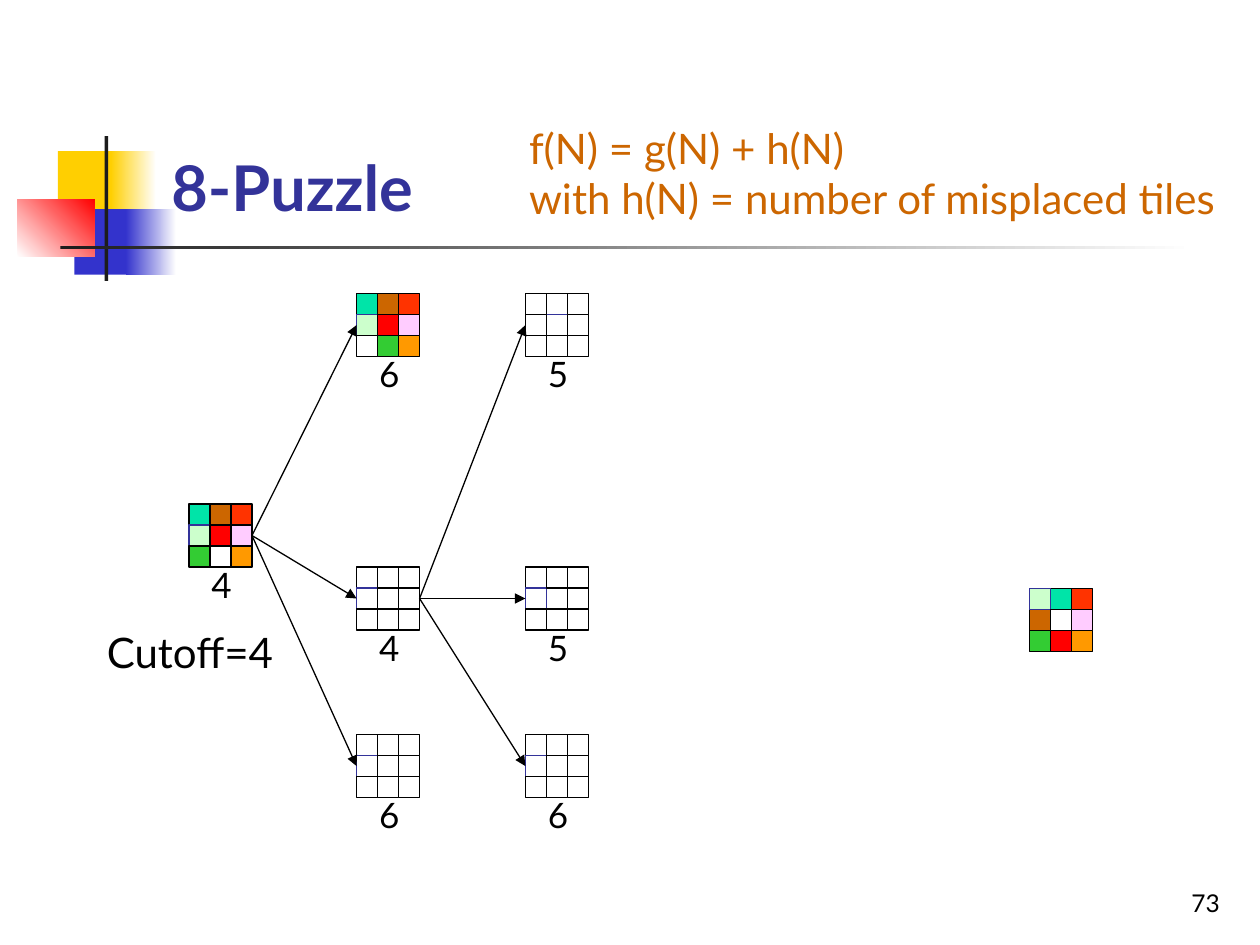
from dataclasses import dataclass

from lxml import etree
from pptx import Presentation
from pptx import util as u
from pptx.dml.color import RGBColor
from pptx.enum import shapes, text
from pptx.oxml.ns import qn


@dataclass(frozen=True)
class Theme:
    font: str = "Lato"
    black: str = "000000"
    white: str = "FFFFFF"
    charcoal: str = "1C1C1C"
    yellow: str = "FFCF01"
    blue: str = "3333CC"
    red: str = "FF0000"
    indigo: str = "333399"
    orange: str = "CC6600"
    title_size: int = 36
    body_size: int = 24
    label_size: int = 20
    number_size: int = 14
    line_width: float = 0.75


THEME = Theme()
TILE = 1 / 6
BOARD = 3 * TILE

TILE_COLOURS = {
    "T": "00E4A8",
    "B": "CC6600",
    "G": "CCFFCC",
    "R": "FF0000",
    "P": "FFCCFF",
    "N": "33CC33",
    "_": "FFFFFF",
    "O": "FF9900",
    "V": "FF3300",
}

# name: left, top, tiles by row, coloured, label, parent
BOARDS = {
    "down": (2.83, 4.5, "TBVG_PNRO", False, "4", "start"),
    "start": (1.5, 4, "TBVGRPN_O", True, "4", None),
    "goal": (8.17, 4.67, "GTVB_PNRO", True, None, None),
    "right": (2.83, 5.83, "TBVGRPNO_", False, "6", "start"),
    "down right": (4.17, 5.83, "TBVGP_NRO", False, "6", "down"),
    "down up": (4.17, 4.5, "T_VGBPNRO", False, "5", "down"),
    "down left": (4.17, 2.33, "TBV_GPNRO", False, "5", "down"),
    "left": (2.83, 2.33, "TBVGRP_NO", True, "6", "start"),
}

DECORATION = [
    (0.46, 1.2, 0.48, 0.52, [THEME.yellow], 0),
    (0.88, 1.2, 0.36, 0.52, [THEME.yellow, THEME.white], 0),
    (0.59, 1.66, 0.46, 0.52, [THEME.blue], 0),
    (1, 1.66, 0.4, 0.52, [THEME.blue, THEME.white], 0),
    (0.14, 1.58, 0.61, 0.46, [THEME.white, THEME.red], 45),
    (0.83, 1.08, 0.03, 1.15, [THEME.charcoal], 0),
    (0.48, 1.95, 9, 0.03, [THEME.charcoal, THEME.white], 0),
]


def rgb(colour):
    return RGBColor.from_string(colour)


def add_rectangle(parent, left, top, width, height, colours, angle=0, line=None):
    box = parent.shapes.add_shape(
        shapes.MSO_SHAPE.RECTANGLE,
        u.Inches(left), u.Inches(top), u.Inches(width), u.Inches(height),
    )
    box.shadow.inherit = False
    if len(colours) == 1:
        box.fill.solid()
        box.fill.fore_color.rgb = rgb(colours[0])
    else:
        box.fill.gradient()
        box.fill.gradient_angle = angle
        for stop, colour in zip(box.fill.gradient_stops, colours):
            stop.color.rgb = rgb(colour)
    if line:
        box.line.color.rgb = rgb(line)
        box.line.width = u.Pt(THEME.line_width)
    else:
        box.line.fill.background()


def format_text(box, size, colour, align=text.PP_ALIGN.LEFT, bold=False):
    for para in box.text_frame.paragraphs:
        para.alignment = align
        for span in para.runs:
            span.font.name = THEME.font
            span.font.size = u.Pt(size)
            span.font.bold = bold
            span.font.color.rgb = rgb(colour)


def add_text(parent, left, top, width, height, words, size, colour):
    box = parent.shapes.add_textbox(
        u.Inches(left), u.Inches(top), u.Inches(width), u.Inches(height)
    )
    box.text_frame.text = words
    box.text_frame.word_wrap = False
    box.text_frame.auto_size = text.MSO_AUTO_SIZE.SHAPE_TO_FIT_TEXT
    format_text(box, size, colour)
    return box


def add_arrow(parent, start, end):
    arrow = parent.shapes.add_connector(
        shapes.MSO_CONNECTOR.STRAIGHT, *(u.Inches(value) for value in start + end)
    )
    arrow.line.color.rgb = rgb(THEME.black)
    arrow.line.width = u.Pt(THEME.line_width)
    etree.SubElement(arrow.line._get_or_add_ln(), qn("a:tailEnd"), type="triangle")
    etree.SubElement(arrow._element.spPr, qn("a:effectLst"))


def add_board(slide, left, top, tiles, coloured, label, parent):
    group = slide.shapes.add_group_shape()
    if label:
        add_text(group, left + 0.08, top + 0.42, 0.35, 0.43, label,
                 THEME.label_size, THEME.black)
    for tile, colour in TILE_COLOURS.items():
        row, column = divmod(tiles.index(tile), 3)
        add_rectangle(
            group, left + column * TILE, top + row * TILE, TILE, TILE,
            [colour if coloured else THEME.white],
            line=THEME.indigo if tile == "G" else THEME.black,
        )
    if parent:
        parent_left, parent_top = BOARDS[parent][:2]
        add_arrow(group, (parent_left + BOARD, parent_top + BOARD / 2),
                  (left, top + BOARD / 2))


def set_title(slide, words):
    title = slide.shapes.title
    title.left, title.top = u.Inches(1.26), u.Inches(0.23)
    title.width, title.height = u.Inches(8.52), u.Inches(1.6)
    title.text_frame.text = words
    title.text_frame.word_wrap = True
    title.text_frame.vertical_anchor = text.MSO_ANCHOR.BOTTOM
    format_text(title, THEME.title_size, THEME.indigo, bold=True)
    title._element.getparent().append(title._element)


def add_page_number(slide, number):
    box = add_text(slide, 7.7, 6.83, 2.08, 0.5, number, THEME.number_size, THEME.black)
    box.text_frame.auto_size = text.MSO_AUTO_SIZE.NONE
    box.text_frame.word_wrap = True
    box.text_frame.vertical_anchor = text.MSO_ANCHOR.BOTTOM
    format_text(box, THEME.number_size, THEME.black, text.PP_ALIGN.RIGHT)


def main():
    deck = Presentation()
    deck.slide_width, deck.slide_height = u.Inches(10), u.Inches(7.5)
    slide = deck.slides.add_slide(deck.slide_layouts[5])
    for left, top, width, height, colours, angle in DECORATION:
        add_rectangle(slide, left, top, width, height, colours, angle)
    add_page_number(slide, "73")
    set_title(slide, "8-Puzzle")
    for board in BOARDS.values():
        add_board(slide, *board)
    add_text(slide, 0.75, 4.92, 1.52, 0.5, "Cutoff=4", THEME.body_size, THEME.black)
    add_text(slide, 4.1, 0.92, 5.82, 0.9,
             "f(N) = g(N) + h(N)\nwith h(N) = number of misplaced tiles",
             THEME.body_size, THEME.orange)
    deck.save("out.pptx")


if __name__ == "__main__":
    main()
